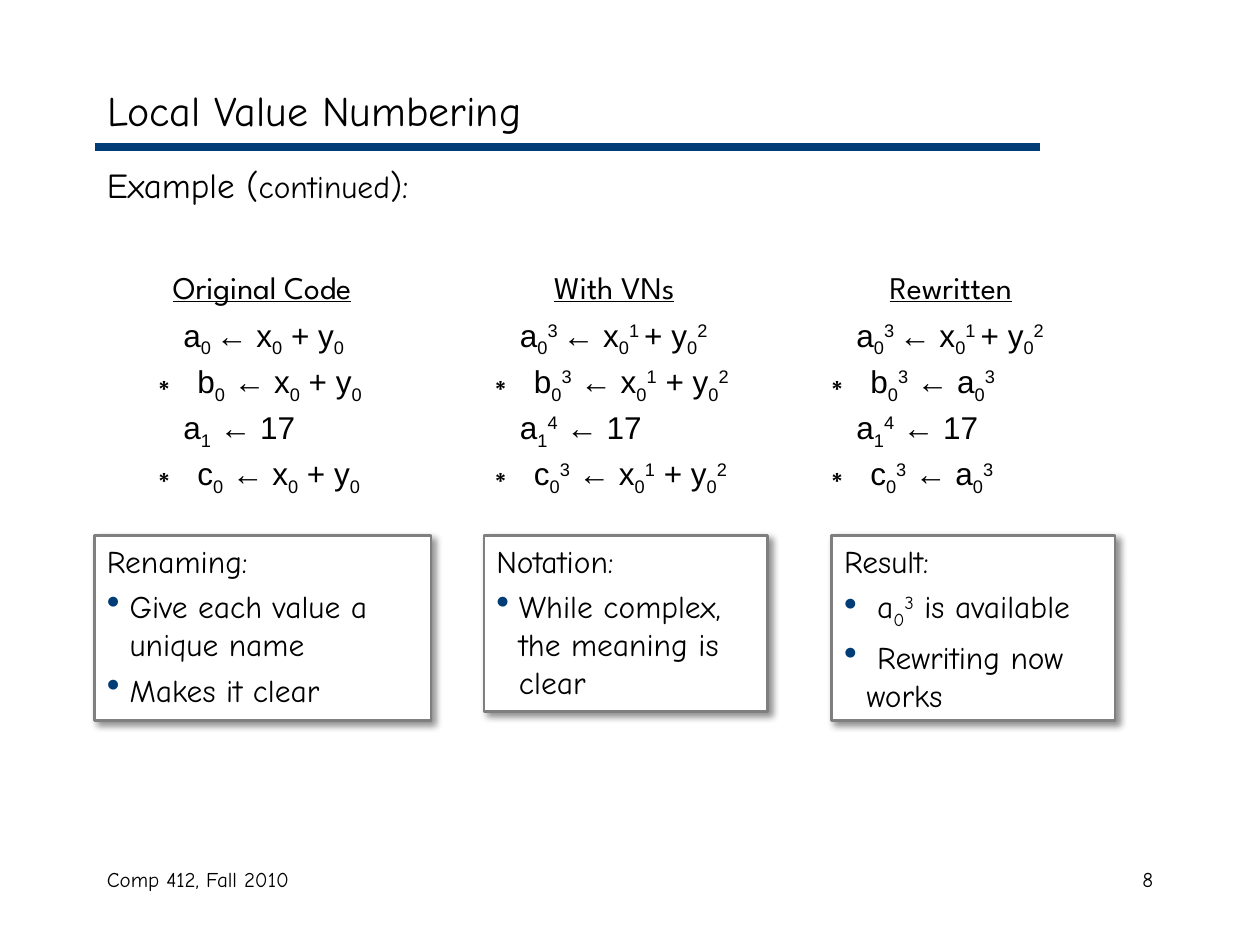
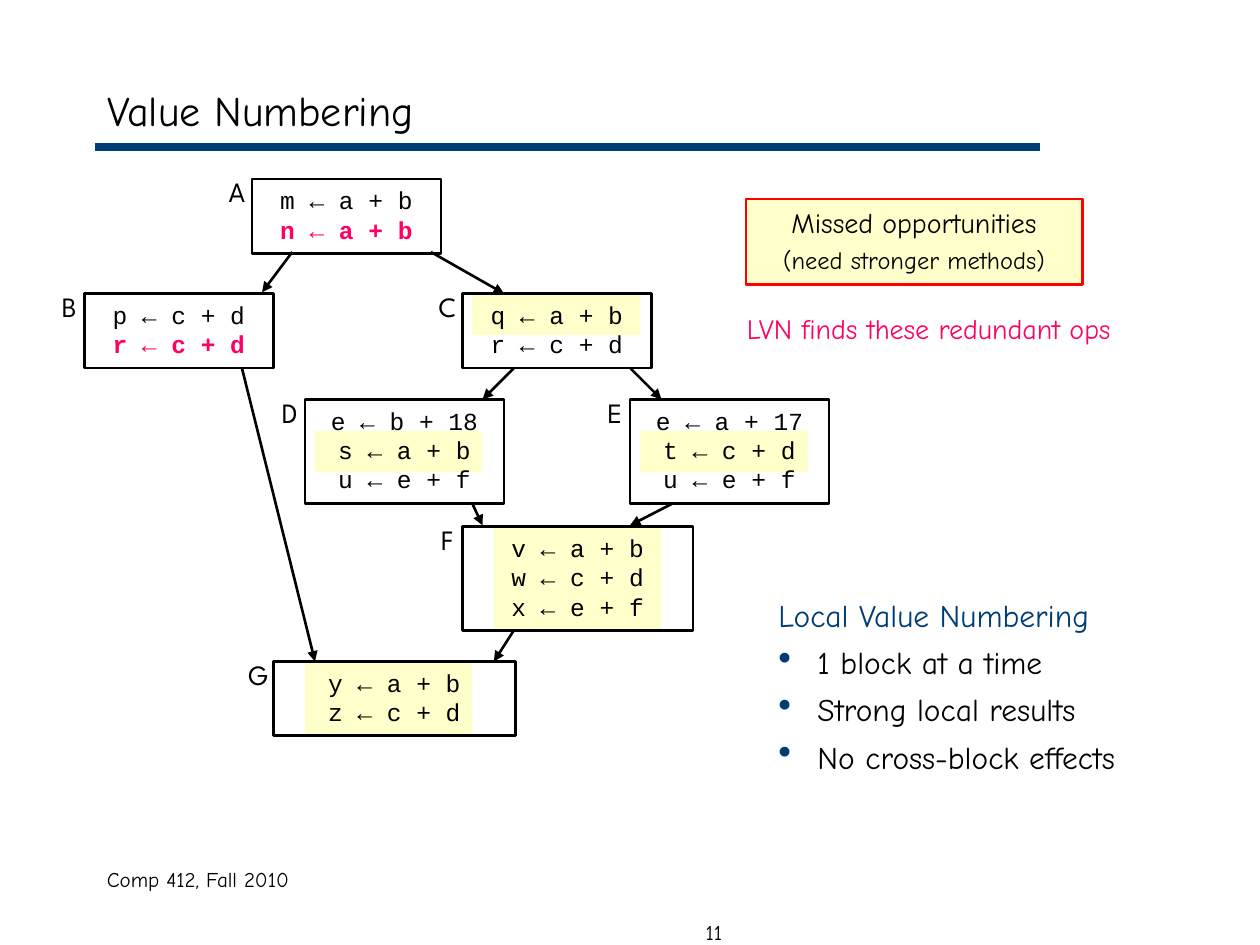
"""Builds two slides on local value numbering."""
from dataclasses import dataclass

from lxml import etree
from pptx import Presentation
from pptx import util as u
from pptx.dml.color import RGBColor
from pptx.enum import shapes, text
from pptx.oxml.ns import qn


@dataclass(frozen=True)
class Theme:
    ink: str = "000000"
    blue: str = "003C75"
    pink: str = "FF0065"
    red: str = "FF0000"
    gold: str = "FFFF99"
    gray: str = "7F7F7F"
    white: str = "FFFFFF"
    body: str = "Comic Neue"
    head: str = "League Spartan"
    code: str = "Courier New"
    math: str = "Arial"
    title: int = 24
    lead: int = 20
    main: int = 18
    note: int = 16
    small: int = 14
    foot: int = 12


T = Theme()
LEFT, MID, RIGHT = text.PP_ALIGN.LEFT, text.PP_ALIGN.CENTER, text.PP_ALIGN.RIGHT
SHIFT = {"_": -25000, "^": 30000}
FOOTER = "Comp 412, Fall 2010"

CODE = [
    (1.08, 2, "Original Code", [
        "    a|_0 |← x|_0| + y|_0",
        "∗  b|_0| ← x|_0| + y|_0",
        "    a|_1| ← 17",
        "∗  c|_0| ← x|_0| + y|_0"]),
    (3.75, 2.25, "With VNs", [
        "    a|_0|^3 |← x|_0|^1 |+ y|_0|^2",
        "∗  b|_0|^3| ← x|_0|^1| + y|_0|^2",
        "    a|_1|^4| ← 17",
        "∗  c|_0|^3| ← x|_0|^1| + y|_0|^2"]),
    (6.42, 2.25, "Rewritten", [
        "    a|_0|^3 |← x|_0|^1 |+ y|_0|^2",
        "∗  b|_0|^3| ← a|_0|^3",
        "    a|_1|^4| ← 17",
        "∗  c|_0|^3| ← a|_0|^3"]),
]
CARDS = [
    (0.75, 2.67, 1.47, "Renaming:",
     ["Give each value a unique name", "Makes it clear"]),
    (3.84, 2.25, 1.4, "Notation:", ["While complex, the meaning is clear"]),
    (6.6, 2.25, 1.47, "Result:",
     [" a|_0|^3| is available", " Rewriting now works"]),
]
BLOCKS = {
    "A": (2, 1.42, 1.5, ["m ← a + b", "n ← a + b"]),
    "B": (0.67, 2.33, 1.5, ["p ← c + d", "r ← c + d"]),
    "C": (3.67, 2.33, 1.5, ["q ← a + b", "r ← c + d"]),
    "D": (2.42, 3.17, 1.58, ["e ← b + 18", "s ← a + b", "u ← e + f"]),
    "E": (5, 3.17, 1.58, ["e ← a + 17", "t ← c + d", "u ← e + f"]),
    "F": (3.67, 4.18, 1.83, ["v ← a + b", "w ← c + d", "x ← e + f"]),
    "G": (2.17, 5.25, 1.92, ["y ← a + b", "z ← c + d"]),
}
FOUND = {("A", 1), ("B", 1)}
MISSED = {"C": (0.08, 0, 0.33), "D": (0.08, 0.25, 0.33),
          "E": (0.08, 0.25, 0.33), "F": (0.25, 0, 0.83),
          "G": (0.25, 0, 0.58)}
EDGES = [
    (2.32, 2, 2.08, 2.32), (3.42, 2, 4, 2.33), (1.92, 2.92, 2.5, 5.25),
    (4.08, 2.92, 3.83, 3.17), (5, 2.92, 5.25, 3.17),
    (3.75, 4, 3.83, 4.17), (5.33, 4, 5, 4.17), (4.08, 5, 3.92, 5.25),
]
TRAITS = ["1 block at a time", "Strong local results",
          "No cross-block effects"]


def rgb(hue):
    return RGBColor.from_string(hue)


def node(root, tag, **attrs):
    return etree.SubElement(root, qn(tag), attrs)


def dot(para, hang):
    props = para._p.get_or_add_pPr()
    props.set("marL", str(u.Inches(hang)))
    props.set("indent", str(-u.Inches(hang)))
    node(node(props, "a:buClr"), "a:srgbClr", val=T.blue)
    node(props, "a:buSzPct", val="120000")
    node(props, "a:buChar", char="•")


def span(para, words, size, font=T.body, hue=T.ink, bold=False, line=False):
    for part in words.split("|"):
        base = SHIFT.get(part[0])
        run = para.add_run()
        run.text = part[1:] if base else part
        face = run.font
        face.size, face.name = u.Pt(size), font
        face.bold, face.underline = bold, line
        face.color.rgb = rgb(hue)
        if base:
            run._r.get_or_add_rPr().set("baseline", str(base))


def write(frame, words, size=T.main, align=LEFT, gap=0, after=0, hang=0,
          **look):
    """Add a paragraph; gaps are shares of the type size."""
    first = frame.paragraphs[0]
    fresh = not first.runs
    para = first if fresh else frame.add_paragraph()
    if hang:
        dot(para, hang)
    para.alignment = align
    para.space_before = u.Pt(0 if fresh else size * gap)
    para.space_after = u.Pt(size * after)
    span(para, words, size, **look)
    return para


def area(slide, *at):
    frame = slide.shapes.add_textbox(*map(u.Inches, at)).text_frame
    frame.word_wrap = True
    return frame


def rect(slide, at, fill=None, edge=None, alpha=None):
    box = slide.shapes.add_shape(shapes.MSO_SHAPE.RECTANGLE,
                                 *map(u.Inches, at))
    box.shadow.inherit = False
    if fill:
        box.fill.solid()
        box.fill.fore_color.rgb = rgb(fill)
        if alpha:
            tint = box._element.spPr.find(".//" + qn("a:srgbClr"))
            node(tint, "a:alpha", val=str(alpha * 1000))
    else:
        box.fill.background()
    if edge:
        box.line.color.rgb = rgb(edge)
        box.line.width = u.Pt(1.5)
    else:
        box.line.fill.background()
    box.text_frame.word_wrap = True
    box.text_frame.vertical_anchor = text.MSO_ANCHOR.TOP
    return box


def shade(box):
    effect = box._element.spPr.find(qn("a:effectLst"))
    cast = node(effect, "a:outerShdw", blurRad=str(u.Pt(4)),
                dist=str(u.Pt(3)), dir="2700000", algn="tl", rotWithShape="0")
    node(node(cast, "a:srgbClr", val=T.ink), "a:alpha", val="43000")


def link(slide, ends, hue, width, arrow=False):
    line = slide.shapes.add_connector(shapes.MSO_CONNECTOR.STRAIGHT,
                                      *map(u.Inches, ends))
    line.line.color.rgb = rgb(hue)
    line.line.width = u.Pt(width)
    if arrow:
        node(line.line._get_or_add_ln(), "a:tailEnd", type="triangle")
    node(line._element.spPr, "a:effectLst")


def start(deck, title, number, left, top):
    slide = deck.slides.add_slide(deck.slide_layouts[5])
    link(slide, (0.75, 1.17, 8.25, 1.17), T.blue, 4.5)
    head = slide.shapes.title
    head.left, head.top, head.width, head.height = map(
        u.Inches, (0.75, 0.58, 8.5, 0.58))
    head.text_frame.vertical_anchor = text.MSO_ANCHOR.MIDDLE
    write(head.text_frame, title, T.title)
    write(area(slide, 0.75, 6.83, 3.17, 0.5), FOOTER, T.foot)
    write(area(slide, left, top, 2.08, 0.5), number, T.foot, RIGHT)
    return slide


def rename(deck):
    slide = start(deck, "Local Value Numbering", "8", 7.17, 6.83)
    intro = write(area(slide, 0.75, 1.25, 8.5, 0.5), "Example (", T.lead)
    span(intro, "continued", T.main)
    span(intro, "):", T.lead)
    for left, width, head, lines in CODE:
        frame = area(slide, left, 2.08, width, 1.78)
        write(frame, head, align=MID, after=0.2, font=T.head, line=True)
        for line in lines:
            write(frame, line, gap=0.1, font=T.math)
    for left, width, height, head, items in CARDS:
        card = rect(slide, (left, 4.25, width, height), T.white, T.gray)
        shade(card)
        write(card.text_frame, head)
        for item in items:
            write(card.text_frame, item, gap=0.25, hang=0.18)


def graph(deck):
    slide = start(deck, "Value Numbering", "11", 3.75, 7.25)
    key = rect(slide, (5.92, 1.58, 2.67, 0.68), T.gold, T.red, 50).text_frame
    write(key, "Missed opportunities", T.note, MID)
    write(key, "(need stronger methods)", T.small, MID, 0.25)
    for name, (right, down, height) in MISSED.items():
        left, top = BLOCKS[name][:2]
        rect(slide, (left + right, top + down, 1.33, height), T.gold, alpha=50)
    for name, (left, top, width, lines) in BLOCKS.items():
        height = 0.12 + 0.235 * len(lines)
        block = rect(slide, (left, top, width, height), edge=T.ink)
        for row, line in enumerate(lines):
            hit = (name, row) in FOUND
            write(block.text_frame, line, T.small, MID, font=T.code,
                  hue=T.pink if hit else T.ink, bold=hit)
        label = area(slide, left - 0.33, top - 0.08, 0.42, 0.37)
        write(label, name, T.note, MID, font=T.head)
    for ends in EDGES:
        link(slide, ends, T.ink, 1.5, True)
    facts = area(slide, 6.08, 4.68, 3.27, 1.57)
    write(facts, "Local Value Numbering", hue=T.blue)
    for trait in TRAITS:
        write(facts, trait, gap=0.3, hang=0.31)
    write(area(slide, 5.83, 2.42, 3.58, 0.37),
          "LVN finds these redundant ops", T.note, hue=T.pink)


def main():
    deck = Presentation()
    deck.slide_width, deck.slide_height = u.Inches(10), u.Inches(7.5)
    rename(deck)
    graph(deck)
    deck.save("out.pptx")


if __name__ == "__main__":
    main()
